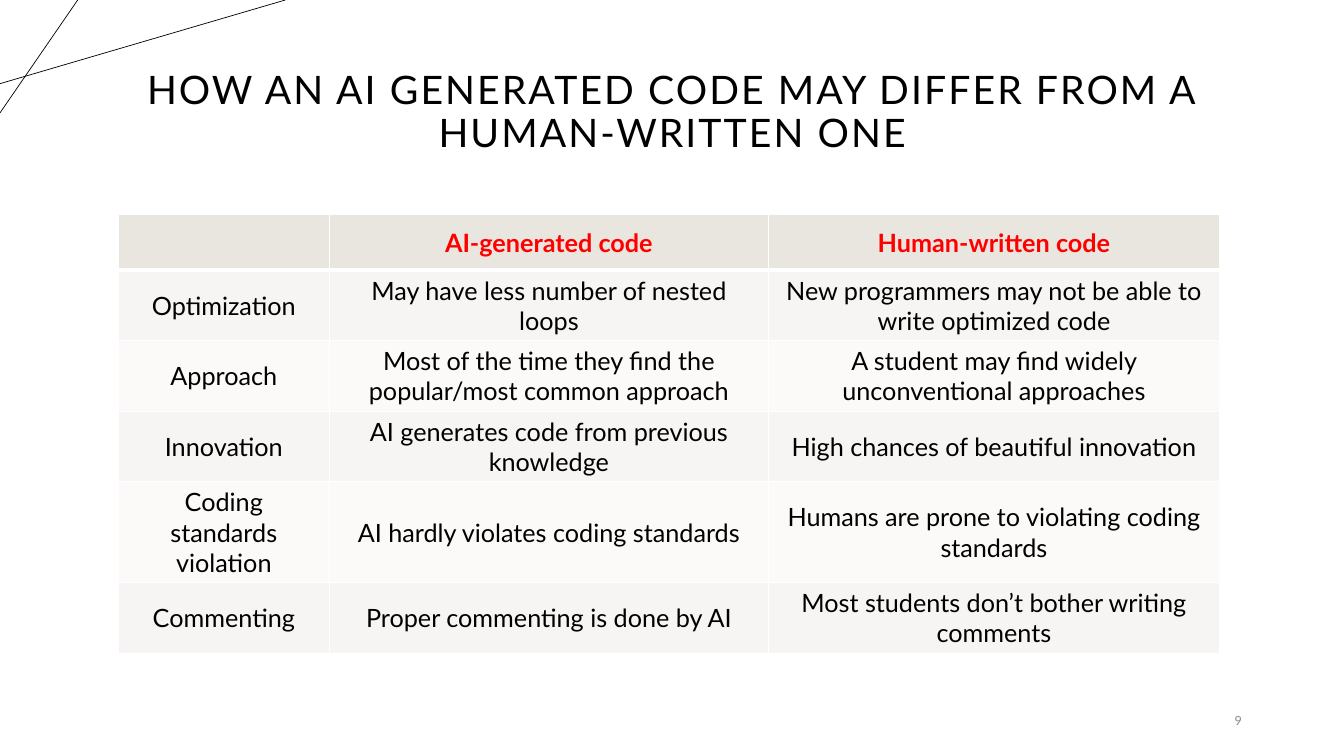
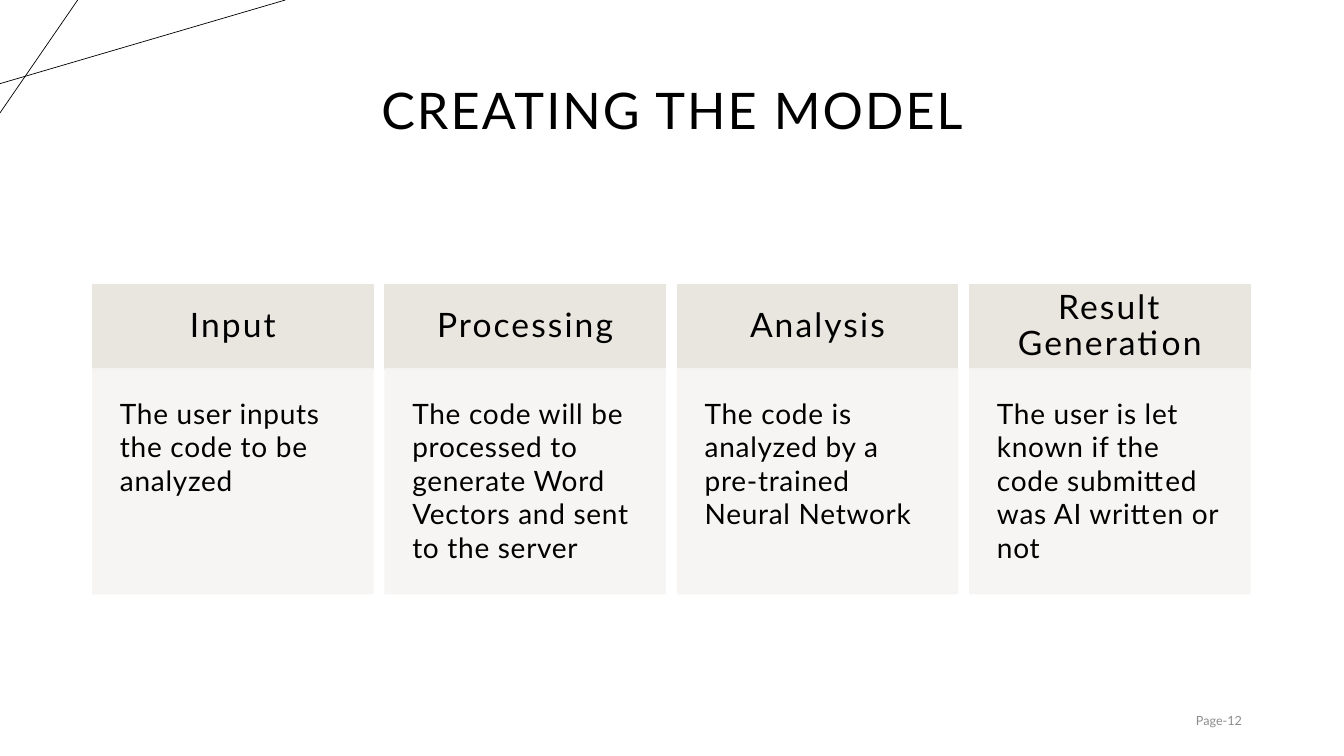
from dataclasses import dataclass
from itertools import accumulate

from lxml.etree import SubElement
from pptx import Presentation
from pptx.dml.color import RGBColor
from pptx.enum.shapes import MSO_CONNECTOR as Connector, MSO_SHAPE as Shape
from pptx.enum.text import MSO_ANCHOR as Anchor, MSO_AUTO_SIZE as AutoSize, PP_ALIGN as Align
from pptx.oxml.ns import qn
from pptx.util import Emu, Inches, Pt

W, H = Inches(13.33), Inches(7.5)
FONT = "Lato"
BLACK, WHITE, RED, GRAY = "000000", "FFFFFF", "FF0000", "8C8C8C"
SAND, PALE, PALER = "E9E6DF", "F7F5F3", "FBFAF9"


def px(share: float) -> Emu:
    return Emu(round(W * share / 100))


def py(share: float) -> Emu:
    return Emu(round(H * share / 100))


def rgb(color: str) -> RGBColor:
    return RGBColor.from_string(color)


@dataclass(frozen=True)
class Box:
    left: float
    top: float
    width: float
    height: float

    def emu(self) -> tuple:
        return px(self.left), py(self.top), px(self.width), py(self.height)


@dataclass(frozen=True)
class Style:
    size: float
    color: str = BLACK
    align: Align = Align.CENTER
    anchor: Anchor = Anchor.MIDDLE
    bold: bool = False
    spacing: float = 1.0
    tracking: float = 0
    inset_x: float = 0.1
    inset_y: float = 0.05


@dataclass(frozen=True)
class Step:
    name: str
    detail: str


TITLE_BOX = Box(6.9, 5.33, 86.25, 19.33)
FOOTER_BOX = Box(70.65, 92.67, 22.5, 5.33)
CORNER_LINES = [(0, 11.07, 21.23, 0), (5.78, 0, 0, 14.93)]

FOOTER = Style(9, GRAY, Align.RIGHT)
HEAD_CELL = Style(18, RED, bold=True)
BODY_CELL = Style(18)
STEP_NAME = Style(24, spacing=0.9, tracking=1.5, inset_x=0.22)
STEP_DETAIL = Style(20, align=Align.LEFT, anchor=Anchor.TOP, tracking=0.5,
                    inset_x=0.27, inset_y=0.27)

TABLE_LEFT, TABLE_TOP = 8.78, 28.4
COLUMNS = [15.75, 32.63, 33.6]
ROWS = [7.33, 9.33, 9.33, 9.33, 13.33, 9.33]
COMPARISON = [
    ("", "AI-generated code", "Human-written code"),
    ("Optimization", "May have less number of nested loops",
     "New programmers may not be able to write optimized code"),
    ("Approach", "Most of the time they find the popular/most common approach",
     "A student may find widely unconventional approaches"),
    ("Innovation", "AI generates code from previous knowledge",
     "High chances of beautiful innovation"),
    ("Coding standards violation", "AI hardly violates coding standards",
     "Humans are prone to violating coding standards"),
    ("Commenting", "Proper commenting is done by AI",
     "Most students don’t bother writing comments"),
]

STEP_LEFT, STEP_TOP, STEP_WIDTH, STEP_GAP = 6.9, 37.6, 20.85, 0.9
NAME_HEIGHT, DETAIL_HEIGHT = 11.2, 29.73
STEPS = [
    Step("Input", "The user inputs the code to be analyzed"),
    Step("Processing", "The code will be processed to generate Word Vectors and sent to the server"),
    Step("Analysis", "The code is analyzed by a pre-trained Neural Network"),
    Step("Result Generation", "The user is let known if the code submitted was AI written or not"),
]


def write(tf, text: str, style: Style) -> None:
    p = tf.paragraphs[0]
    p.alignment, p.line_spacing = style.align, style.spacing
    p.font.name, p.font.size, p.font.bold = FONT, Pt(style.size), style.bold
    p.font.color.rgb = rgb(style.color)
    if text:
        r = p.add_run()
        r.text = text
        if style.tracking:
            r._r.get_or_add_rPr().set("spc", str(round(style.tracking * 100)))


def write_framed(tf, text: str, style: Style) -> None:
    tf.word_wrap, tf.auto_size = True, AutoSize.NONE
    tf.vertical_anchor = style.anchor
    tf.margin_left = tf.margin_right = Inches(style.inset_x)
    tf.margin_top = tf.margin_bottom = Inches(style.inset_y)
    write(tf, text, style)


def add_corner_line(s, x1: float, y1: float, x2: float, y2: float) -> None:
    line = s.shapes.add_connector(Connector.STRAIGHT, px(x1), py(y1), px(x2), py(y2))
    line.line.color.rgb = rgb(BLACK)
    line.line.width = Pt(0.5)
    SubElement(line._element.spPr, qn("a:effectLst"))


def add_page(prs, title: str, title_size: float, footer: str):
    s = prs.slides.add_slide(prs.slide_layouts.get_by_name("Title Only"))
    for ends in CORNER_LINES:
        add_corner_line(s, *ends)
    sp = s.shapes.title
    sp.left, sp.top, sp.width, sp.height = TITLE_BOX.emu()
    write_framed(sp.text_frame, title, Style(title_size, spacing=0.9, tracking=1.5))
    tb = s.shapes.add_textbox(*FOOTER_BOX.emu())
    write_framed(tb.text_frame, footer, FOOTER)
    return s


def set_borders(cell, **widths: float) -> None:
    tcPr = cell._tc.get_or_add_tcPr()
    for side in "LRTB":
        ln = SubElement(tcPr, qn(f"a:ln{side}"), w=str(Pt(widths.get(side, 1))))
        SubElement(SubElement(ln, qn("a:solidFill")), qn("a:srgbClr"), val=WHITE)


def add_comparison(s) -> None:
    box = Box(TABLE_LEFT, TABLE_TOP, sum(COLUMNS), sum(ROWS))
    table = s.shapes.add_table(len(ROWS), len(COLUMNS), *box.emu()).table
    table.first_row = table.horz_banding = False
    for column, width in zip(table.columns, COLUMNS):
        column.width = px(width)
    for i, (row, height, texts) in enumerate(zip(table.rows, ROWS, COMPARISON)):
        row.height = py(height)
        fill = SAND if i == 0 else PALE if i % 2 else PALER
        for cell, text in zip(row.cells, texts):
            set_borders(cell, T=3 if i == 1 else 1, B=3 if i == 0 else 1)
            cell.fill.solid()
            cell.fill.fore_color.rgb = rgb(fill)
            cell.vertical_anchor = Anchor.MIDDLE
            write(cell.text_frame, text, BODY_CELL if i else HEAD_CELL)


def add_panel(s, box: Box, color: str, text: str, style: Style, opacity: int = 100) -> None:
    sp = s.shapes.add_shape(Shape.RECTANGLE, *box.emu())
    sp.shadow.inherit = False
    sp.fill.solid()
    sp.fill.fore_color.rgb = sp.line.color.rgb = rgb(color)
    sp.line.width = Pt(1)
    if opacity < 100:
        for clr in sp._element.spPr.iter(qn("a:srgbClr")):
            SubElement(clr, qn("a:alpha"), val=str(opacity * 1000))
    write_framed(sp.text_frame, text, style)


def add_steps(s) -> None:
    lefts = accumulate([STEP_WIDTH + STEP_GAP] * (len(STEPS) - 1), initial=STEP_LEFT)
    for left, step in zip(lefts, STEPS):
        name_box = Box(left, STEP_TOP, STEP_WIDTH, NAME_HEIGHT)
        detail_box = Box(left, STEP_TOP + NAME_HEIGHT, STEP_WIDTH, DETAIL_HEIGHT)
        add_panel(s, name_box, SAND, step.name, STEP_NAME)
        add_panel(s, detail_box, PALE, step.detail, STEP_DETAIL, opacity=90)


def main() -> None:
    prs = Presentation()
    prs.slide_width, prs.slide_height = W, H
    add_comparison(add_page(
        prs, "HOW AN AI GENERATED CODE MAY DIFFER FROM A HUMAN-WRITTEN ONE", 28, "9"))
    add_steps(add_page(prs, "CREATING THE MODEL", 36, "Page-12"))
    prs.save("out.pptx")


if __name__ == "__main__":
    main()
